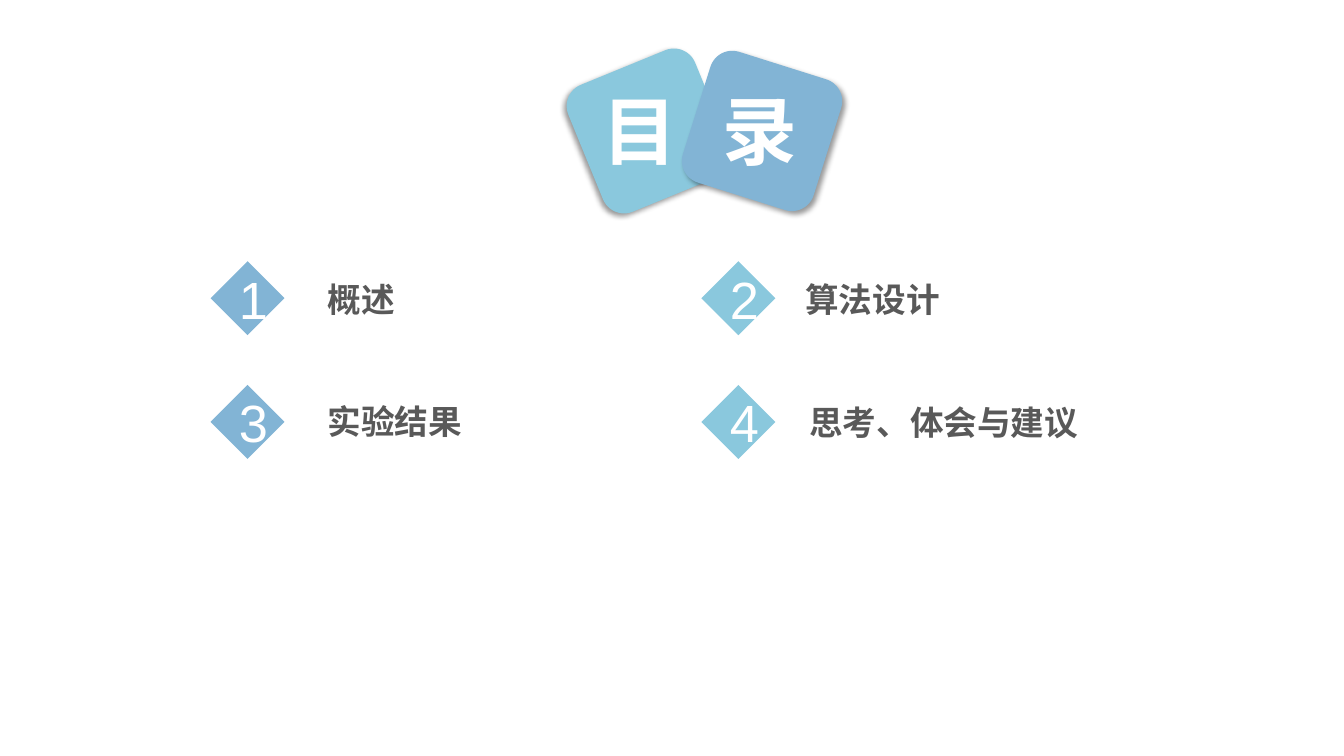
import pptx
import pptx.dml.color
import pptx.enum.shapes
import pptx.enum.text
import pptx.oxml
import pptx.oxml.ns
import pptx.util

Pt = pptx.util.Pt
SHAPES = pptx.enum.shapes.MSO_SHAPE
ALIGN = pptx.enum.text.PP_ALIGN
ANCHOR = pptx.enum.text.MSO_ANCHOR
FIT = pptx.enum.text.MSO_AUTO_SIZE
NS = pptx.oxml.ns.nsdecls("a")


def rgb(color):
    return pptx.dml.color.RGBColor.from_string(color)


def write(frame, text, size, color, font, bold=False, align=ALIGN.LEFT):
    paragraph = frame.paragraphs[0]
    paragraph.alignment = align
    run = paragraph.add_run()
    run.text = text
    run.font.size = Pt(size)
    run.font.bold = bold
    run.font.color.rgb = rgb(color)
    run.font.name = font
    run.font._element.append(pptx.oxml.parse_xml(f'<a:ea {NS} typeface="{font}"/>'))
    return paragraph


class AgendaSlide:
    blue, aqua, white, gray = "82B4D5", "8AC8DD", "FFFFFF", "595959"
    heading_font, number_font = "Noto Sans CJK SC", "Arial"

    def __init__(self, deck):
        self.slide = deck.slides.add_slide(deck.slide_layouts[5])

    def shape(self, kind, left, top, size, color):
        shape = self.slide.shapes.add_shape(kind, Pt(left), Pt(top), Pt(size), Pt(size))
        shape.shadow.inherit = False
        shape.fill.solid()
        shape.fill.fore_color.rgb = rgb(color)
        shape.line.fill.background()
        return shape

    def tile(self, left, rotation, color, shadow_angle):
        tile = self.shape(SHAPES.ROUNDED_RECTANGLE, left, 44.6, 97.9, color)
        tile.rotation = rotation
        effects = tile._element.spPr.find(pptx.oxml.ns.qn("a:effectLst"))
        effects.append(pptx.oxml.parse_xml(
            f'<a:outerShdw {NS} blurRad="{Pt(4)}" dist="{Pt(3)}" dir="{shadow_angle * 60000}"'
            ' algn="ctr" rotWithShape="0"><a:srgbClr val="000000"><a:alpha val="40000"/>'
            '</a:srgbClr></a:outerShdw>'))

    def title(self, text, left, top, width, height, tab):
        title = self.slide.shapes.title
        title.left, title.top, title.width, title.height = map(Pt, (left, top, width, height))
        frame = title.text_frame
        frame.auto_size = FIT.NONE
        frame.word_wrap = True
        frame.vertical_anchor = ANCHOR.TOP
        paragraph = write(frame, text, 53.4, self.white, self.heading_font, bold=True)
        paragraph._p.get_or_add_pPr().append(pptx.oxml.parse_xml(
            f'<a:tabLst {NS}><a:tab pos="{Pt(tab)}" algn="l"/></a:tabLst>'))
        self.slide.shapes._spTree.append(title._element)

    def number(self, text, left, top, color):
        diamond = self.shape(SHAPES.DIAMOND, left, top, 52.8, color)
        diamond.text_frame.vertical_anchor = ANCHOR.MIDDLE
        write(diamond.text_frame, text, 37.4, self.white, self.number_font, align=ALIGN.CENTER)

    def label(self, text, left, top):
        width = 14.4 + 24 * len(text)
        box = self.slide.shapes.add_textbox(Pt(left), Pt(top), Pt(width), Pt(36))
        box.text_frame.word_wrap = False
        box.text_frame.auto_size = FIT.SHAPE_TO_FIT_TEXT
        write(box.text_frame, text, 24, self.gray, self.heading_font, bold=True)


def main():
    deck = pptx.Presentation()
    deck.slide_width, deck.slide_height = Pt(960), Pt(540)
    agenda = AgendaSlide(deck)

    sections = [("概述", 226.8, 195.8), ("算法设计", 568.1, 195.8),
                ("实验结果", 226.8, 282.5), ("思考、体会与建议", 571, 283.5)]
    columns = [(150.4, agenda.blue), (501, agenda.aqua)]
    for index, (section, label_left, label_top) in enumerate(sections):
        row, column = divmod(index, 2)
        number_left, color = columns[column]
        agenda.number(str(index + 1), number_left, 186.6 + 88.4 * row, color)
        agenda.label(section, label_left, label_top)

    agenda.tile(414.7, 337.7, agenda.aqua, 135)
    agenda.tile(495.4, 17.5, agenda.blue, 45)
    agenda.title("目\t录", 423.4, 56.9, 155, 72, tab=85.7)
    deck.save("out.pptx")


if __name__ == "__main__":
    main()
